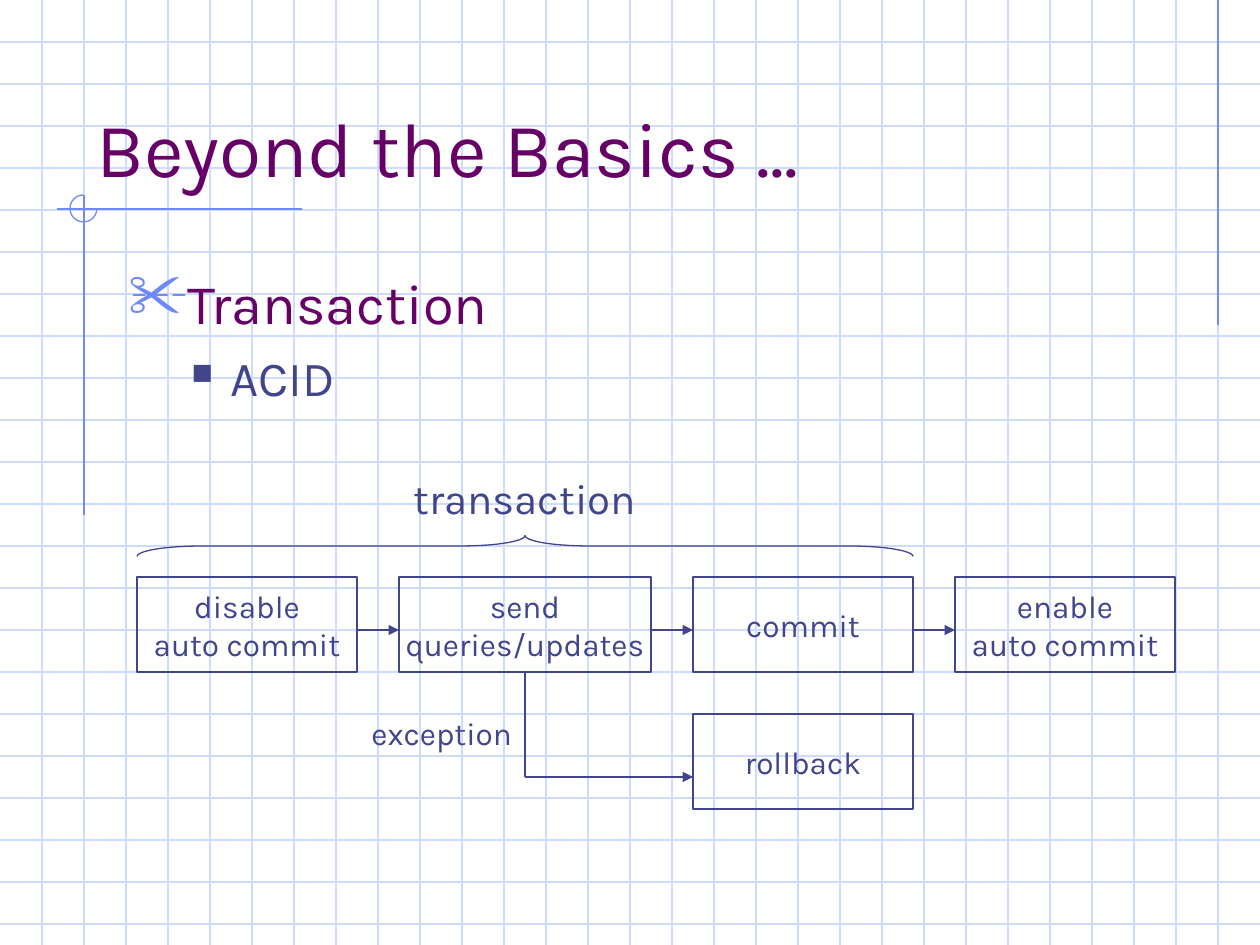
from lxml.etree import SubElement
from pptx import Presentation
from pptx.dml.color import RGBColor
from pptx.enum.shapes import MSO_CONNECTOR, MSO_SHAPE as SHAPE
from pptx.enum.text import MSO_ANCHOR as ANCHOR, PP_ALIGN as ALIGN
from pptx.oxml.ns import qn
from pptx.util import Emu, Pt

PX = 914400 / 126
WIDTH, HEIGHT, CELL = 1260, 945, 42
FONT = "Karla"
GRID, ACCENT, INK, PLUM = "CFDBFD", "6F89F7", "40458C", "660066"


def px(length):
    return Emu(round(length * PX))


def color(hex_string):
    return RGBColor.from_string(hex_string)


def add_line(slide, start, end, line_color, arrow=False):
    line = slide.shapes.add_connector(
        MSO_CONNECTOR.STRAIGHT, *map(px, (*start, *end)))
    line.line.color.rgb = color(line_color)
    line.line.width = Pt(0.75)
    SubElement(line._element.spPr, qn("a:effectLst"))
    if arrow:
        SubElement(line.line._get_or_add_ln(), qn("a:tailEnd"), type="triangle")
    return line


def add_outline(slide, kind, box, line_color):
    shape = slide.shapes.add_shape(kind, *map(px, box))
    shape.shadow.inherit = False
    shape.fill.background()
    shape.line.color.rgb = color(line_color)
    shape.line.width = Pt(0.75)
    return shape


def set_bullet(paragraph, char, bullet_color, percent, margin, hanging):
    properties = paragraph._p.get_or_add_pPr()
    properties.set("marL", str(px(margin)))
    properties.set("indent", str(-px(hanging)))
    bullet = SubElement(properties, qn("a:buClr"))
    SubElement(bullet, qn("a:srgbClr"), val=bullet_color)
    SubElement(properties, qn("a:buSzPct"), val=str(percent * 1000))
    SubElement(properties, qn("a:buChar"), char=char)


def write(frame, text, size, text_color=INK, align=ALIGN.LEFT, anchor=ANCHOR.TOP,
          wrap=False, append=False, before=0, bullet=None):
    """Write one paragraph for each line of text."""
    frame.word_wrap = wrap
    frame.vertical_anchor = anchor
    for index, content in enumerate(text.split("\n")):
        new = append or index
        paragraph = frame.add_paragraph() if new else frame.paragraphs[0]
        if bullet:
            set_bullet(paragraph, **bullet)
        paragraph.alignment = align
        if before:
            paragraph.space_before = Pt(before)
        run = paragraph.add_run()
        run.text = content
        run.font.name = FONT
        run.font.size = Pt(size)
        run.font.color.rgb = color(text_color)


def add_text(slide, box, text, size, **options):
    frame = slide.shapes.add_textbox(*map(px, box)).text_frame
    write(frame, text, size, **options)
    return frame


def draw_background(slide, width, height):
    # Graph paper
    for y in range(CELL, height, CELL):
        add_line(slide, (0, y), (width, y), GRID)
    for x in range(CELL, width, CELL):
        add_line(slide, (x, 0), (x, height), GRID)
    # Accent rules and the open circle where they cross
    add_line(slide, (width - CELL, 0), (width - CELL, 325), ACCENT)
    add_line(slide, (302, 209), (57, 209), ACCENT)
    add_line(slide, (84, 195), (84, 515), ACCENT)
    arc = add_outline(slide, SHAPE.ARC, (70, 195, 27, 27), ACCENT)
    arc.adjustments[0] = 0
    arc.adjustments[1] = 162


def draw_bullets(slide, box):
    frame = add_text(
        slide, box, "Transaction", 32, text_color=PLUM, wrap=True,
        bullet=dict(char="✂", bullet_color=ACCENT, percent=110, margin=47, hanging=47))
    write(frame, "ACID", 28, wrap=True, append=True, before=7,
          bullet=dict(char="■", bullet_color=INK, percent=60, margin=102, hanging=39))


def draw_step(slide, box, text):
    shape = add_outline(slide, SHAPE.RECTANGLE, box, INK)
    write(shape.text_frame, text, 18, align=ALIGN.CENTER, anchor=ANCHOR.MIDDLE)


def draw_flow(slide, left, top):
    gap, step_height, arrow_drop = CELL, 95, 53
    steps = [("disable\nauto commit", 220), ("send\nqueries/updates", 252),
             ("commit", 220), ("enable\nauto commit", 220)]

    # Row of steps joined by arrows
    lefts = []
    x = left
    for index, (text, width) in enumerate(steps):
        lefts.append(x)
        draw_step(slide, (x, top, width, step_height), text)
        x += width
        if index < len(steps) - 1:
            y = top + arrow_drop
            add_line(slide, (x, y), (x + gap, y), INK, arrow=True)
        x += gap

    # Brace over the first three steps
    span = lefts[3] - gap - left
    middle, depth = left + span // 2, 21
    brace = add_outline(slide, SHAPE.LEFT_BRACE,
                        (middle - depth / 2, top - 31 - span / 2, depth, span), INK)
    brace.rotation = 90
    brace.adjustments[0] = 3.08
    add_text(slide, (middle - 124, top - 111, 248, 63), "transaction", 24)

    # Exception branch
    branch_top = top + 137
    branch_y = branch_top + 63
    draw_step(slide, (lefts[2], branch_top, 220, step_height), "rollback")
    add_line(slide, (middle, branch_y), (lefts[2], branch_y), INK, arrow=True)
    add_line(slide, (middle, top + step_height), (middle, branch_y), INK)
    add_text(slide, (middle - 166, top + 131, 170, 50), "exception", 18)


def main():
    presentation = Presentation()
    presentation.slide_width = px(WIDTH)
    presentation.slide_height = px(HEIGHT)
    slide = presentation.slides.add_slide(presentation.slide_layouts[6])
    draw_background(slide, WIDTH, HEIGHT)
    add_text(slide, (84, 42, 1071, 157), "Beyond the Basics ...", 44,
             text_color=PLUM, anchor=ANCHOR.BOTTOM, wrap=True)
    draw_bullets(slide, (116, 262, 1071, 168))
    draw_flow(slide, 137, 577)
    presentation.save("out.pptx")


if __name__ == "__main__":
    main()
